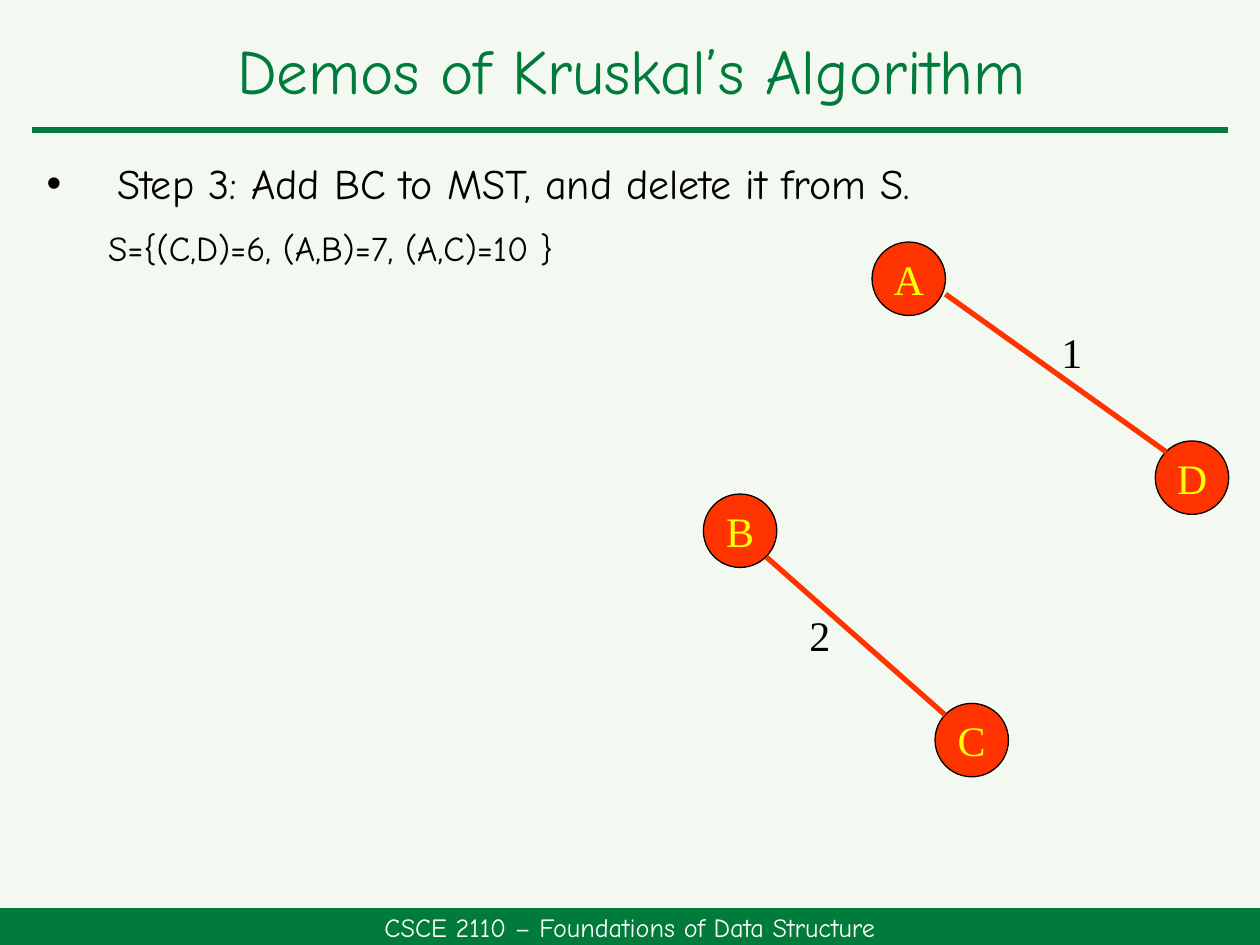
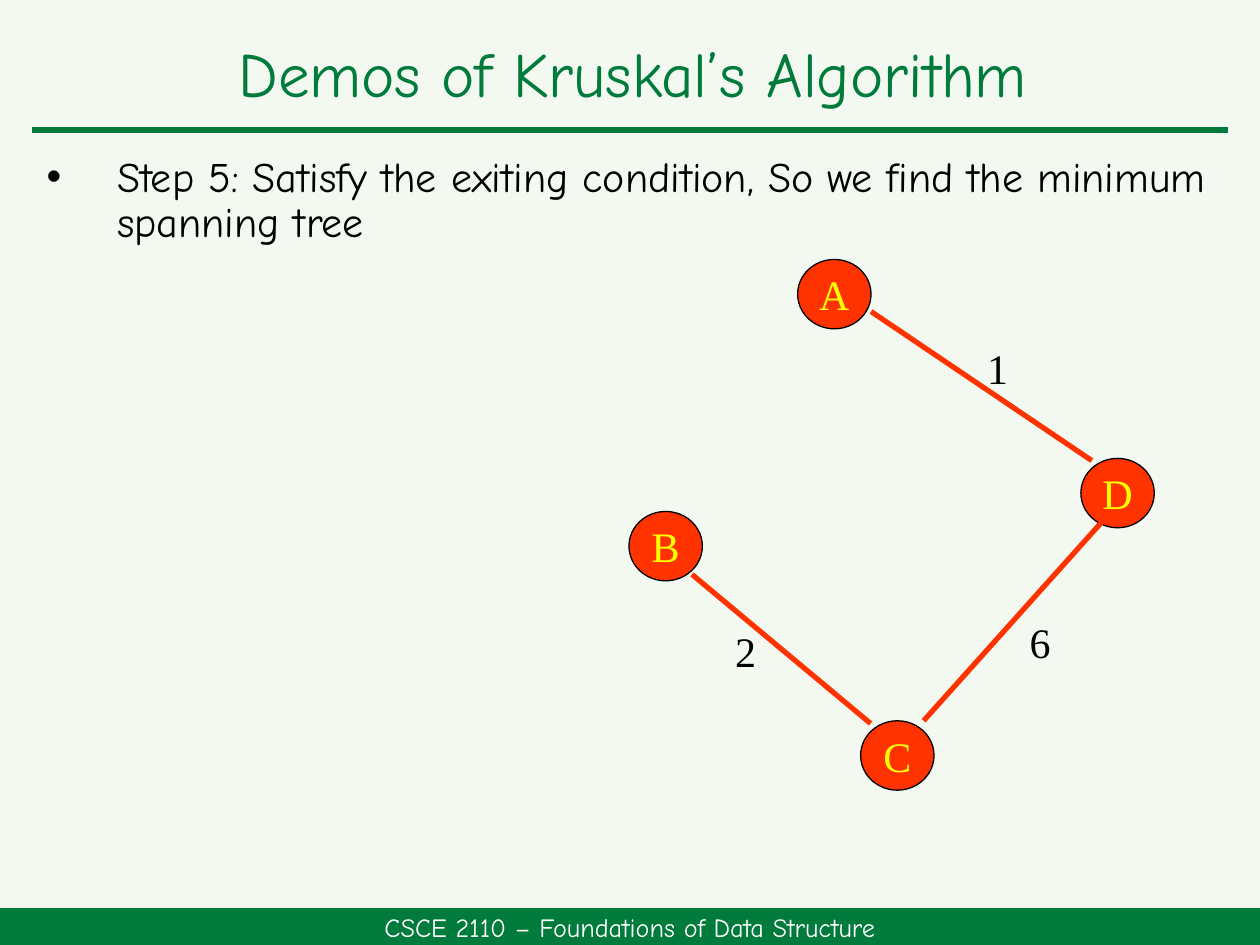
from lxml import etree
from pptx import Presentation
from pptx import util as u
from pptx.dml.color import RGBColor
from pptx.enum import shapes, text
from pptx.oxml.ns import qn

# Content
TITLE = "Demos of Kruskal’s Algorithm"
COURSE = "CSCE 2110 – Foundations of Data Structure"
STEPS = [
    dict(title_box=(0.69, 0.43, 24.08, 2.11), step_box=(0.69, 3.05, 24.08, 1.47),
         step="Step 3: Add BC to MST, and delete it from S.", spacing=1.0,
         remaining="S={(C,D)=6, (A,B)=7, (A,C)=10 }",
         origin=(17.58, 4.88), flatten=1.0, edges=["AD", "BC"]),
    dict(title_box=(0.69, 0.43, 24.13, 2.24), step_box=(0.69, 3.02, 24.13, 2.74),
         step="Step 5: Satisfy the exiting condition, So we find the minimum spanning tree",
         spacing=0.9, remaining=None,
         origin=(16.08, 5.23), flatten=0.945, edges=["AD", "BC", "CD"]),
]

# Graph in cm, measured from the corner of node A
NODE_SIZE = 1.48
NODES = {"A": (0, 0), "B": (-3.4, 5.08), "C": (1.27, 9.3), "D": (5.71, 4.01)}
# edge: (weight, start, extent, weight label corner)
EDGES = {
    "AD": ("1", (1.48, 1.05), (4.45, 3.18), (3.18, 1.68)),
    "BC": ("2", (-2.13, 6.35), (3.6, 3.18), (-1.9, 7.39)),
    "CD": ("6", (2.54, 9.3), (3.6, -4.25), (4.04, 7.19)),
}
LABEL_SIZE = (1.7, 1.07)

# Style
GREEN, RED, YELLOW, BLACK, WHITE = "007B3B", "FF3300", "FFFF00", "000000", "FFFFFF"
PAPER = "F3F9F0"
HAND, SERIF = "Comic Neue", "Times New Roman"


def color(value):
    return RGBColor.from_string(value)


def lengths(values):
    return [u.Cm(value) for value in values]


def write(shape, words, font=HAND, size=24, ink=BLACK, centred=False, middle=False,
          wrap=True, spacing=1.0, bullet=False):
    frame = shape.text_frame
    frame.auto_size = text.MSO_AUTO_SIZE.NONE
    frame.word_wrap = wrap
    frame.vertical_anchor = text.MSO_ANCHOR.MIDDLE if middle else text.MSO_ANCHOR.TOP
    para = frame.paragraphs[0]
    if bullet:
        props = para._p.get_or_add_pPr()
        props.set("marL", str(u.Cm(1.42)))
        props.set("indent", str(-u.Cm(1.42)))
        etree.SubElement(props, qn("a:buFont")).set("typeface", "Arial")
        etree.SubElement(props, qn("a:buChar")).set("char", "•")
    para.alignment = text.PP_ALIGN.CENTER if centred else text.PP_ALIGN.LEFT
    para.line_spacing = spacing
    span = para.add_run()
    span.text = words
    span.font.name, span.font.size = font, u.Pt(size)
    span.font.color.rgb = color(ink)


def add_text(page, box, words, **style):
    write(page.shapes.add_textbox(*lengths(box)), words, **style)


def add_filled(page, kind, box, fill, line=None):
    shape = page.shapes.add_shape(kind, *lengths(box))
    shape.shadow.inherit = False
    shape.fill.solid()
    shape.fill.fore_color.rgb = color(fill)
    if line:
        shape.line.color.rgb = color(line)
        shape.line.width = u.Pt(0.75)
    else:
        shape.line.fill.background()
    return shape


def add_line(page, start, end, ink):
    line = page.shapes.add_connector(shapes.MSO_CONNECTOR.STRAIGHT, *lengths(start + end))
    line.line.color.rgb = color(ink)
    line.line.width = u.Pt(3)
    etree.SubElement(line._element.spPr, qn("a:effectLst"))


def add_frame(page, title_box):
    """Rule, footer band and title shared by all slides."""
    add_line(page, (0.64, 2.62), (24.76, 2.62), GREEN)
    band = add_filled(page, shapes.MSO_SHAPE.RECTANGLE, (0, 18.31, 25.4, 0.74), GREEN)
    write(band, COURSE, size=15, ink=WHITE, centred=True, middle=True)
    title = page.shapes.title
    title.left, title.top, title.width, title.height = lengths(title_box)
    write(title, TITLE, size=36, ink=GREEN, centred=True, middle=True, spacing=0.9)


def add_graph(page, origin, flatten, edges):
    def place(x, y):
        return origin[0] + x, origin[1] + y

    label_style = dict(font=SERIF, centred=True, middle=True, wrap=False)
    for name, corner in NODES.items():
        box = place(*corner) + (NODE_SIZE, NODE_SIZE * flatten)
        node = add_filled(page, shapes.MSO_SHAPE.OVAL, box, RED, line=BLACK)
        write(node, name, ink=YELLOW, **label_style)
    for edge in edges:
        weight, start, (run, drop), corner = EDGES[edge]
        x, y = place(*start)
        add_line(page, (x, y), (x + run, y + drop * flatten), RED)
        box = place(*corner) + (LABEL_SIZE[0], LABEL_SIZE[1] * flatten)
        add_text(page, box, weight, **label_style)


def main():
    deck = Presentation()
    deck.slide_width, deck.slide_height = u.Cm(25.4), u.Cm(19.05)
    paper = deck.slide_master.background.fill
    paper.solid()
    paper.fore_color.rgb = color(PAPER)
    title_only = deck.slide_layouts[5]
    for step in STEPS:
        page = deck.slides.add_slide(title_only)
        add_frame(page, step["title_box"])
        add_text(page, step["step_box"], step["step"], spacing=step["spacing"], bullet=True)
        if step["remaining"]:
            add_text(page, (1.93, 4.45, 11.18, 1.7), step["remaining"], size=20)
        add_graph(page, step["origin"], step["flatten"], step["edges"])
    deck.save("out.pptx")


if __name__ == "__main__":
    main()
